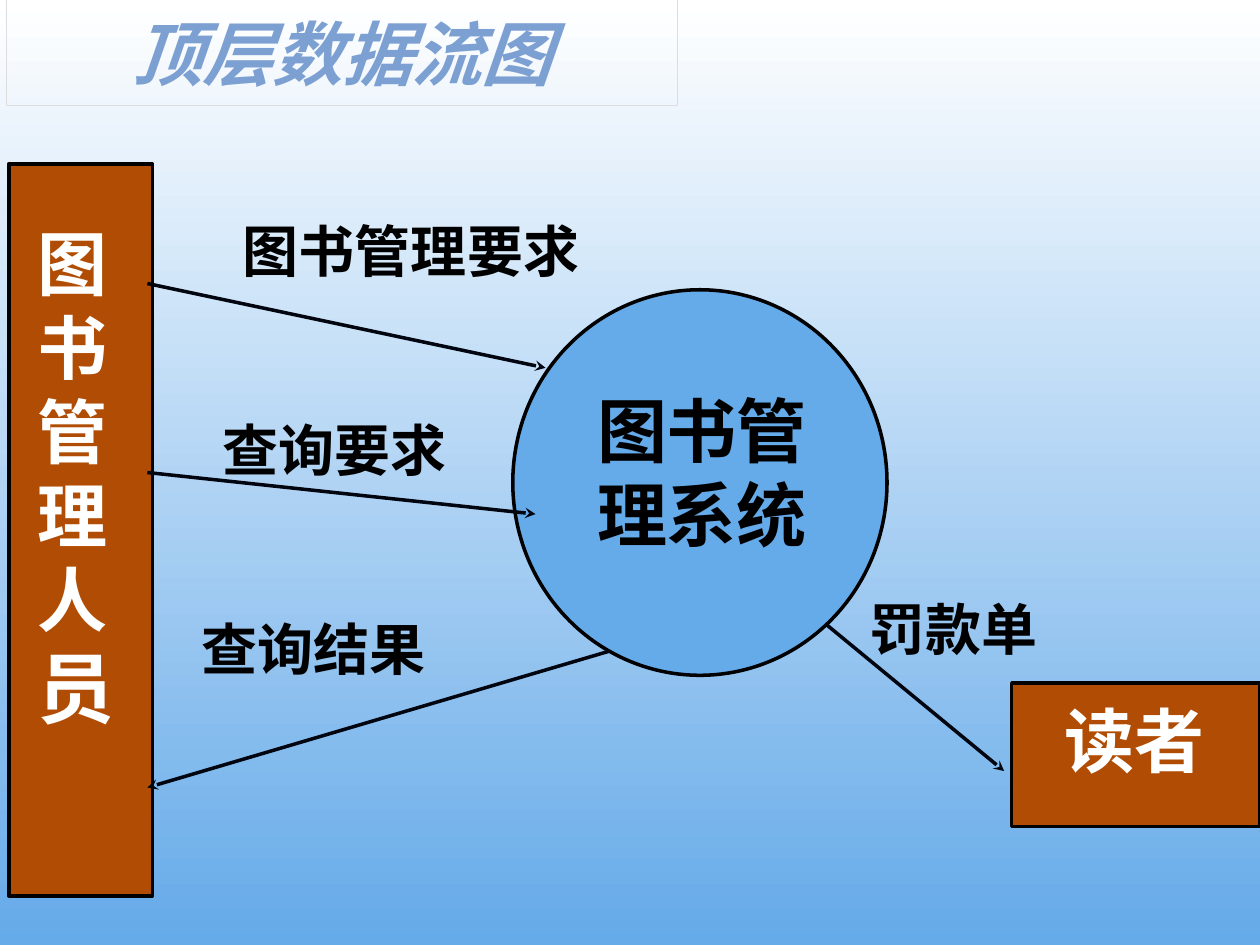
from dataclasses import dataclass

from lxml.etree import SubElement
from pptx import Presentation
from pptx.dml.color import RGBColor
from pptx.enum.shapes import MSO_CONNECTOR as Connector, MSO_SHAPE as Preset
from pptx.enum.text import MSO_ANCHOR as Anchor, PP_ALIGN as Align
from pptx.oxml.ns import qn
from pptx.util import Inches, Pt


@dataclass(frozen=True)
class Theme:
    black: str = "000000"
    white: str = "FFFFFF"
    blue: str = "65AAE9"
    brown: str = "B04C03"
    arrow: str = "01050F"
    title: str = "7DA0D3"
    frame: str = "DDDDDD"
    latin: str = "Arial"
    chinese: str = "Noto Sans CJK SC"
    flow_size: int = 32
    node_size: int = 40
    last_size: int = 44
    line_width: float = 2
    frame_width: float = 0.75


THEME = Theme()


def set_values(target, values):
    for name, value in values.items():
        setattr(target, name, value)


def set_background(slide):
    fill = slide.background.fill
    fill.gradient()
    fill.gradient_angle = 270
    for stop, color, position in zip(fill.gradient_stops, (THEME.white, THEME.blue), (0, 1)):
        stop.color.rgb = RGBColor.from_string(color)
        stop.position = position


def add_run(paragraph, text, size, color, name=THEME.chinese, italic=False):
    run = paragraph.add_run()
    run.text = text
    set_values(run.font, {"name": name, "size": Pt(size), "bold": True, "italic": italic})
    run.font.color.rgb = RGBColor.from_string(color)
    properties = run.font._element
    SubElement(properties, qn("a:ea"), typeface=THEME.chinese)


def add_node(slide, preset, box, fill=None, line=THEME.black, width=THEME.line_width):
    shape = slide.shapes.add_shape(preset, *map(Inches, box))
    shape.shadow.inherit = False
    if fill:
        shape.fill.solid()
        shape.fill.fore_color.rgb = RGBColor.from_string(fill)
    else:
        shape.fill.background()
    shape.line.color.rgb = RGBColor.from_string(line)
    shape.line.width = Pt(width)
    return shape


def add_label(slide, box, lines, size, color):
    frame = slide.shapes.add_textbox(*map(Inches, box)).text_frame
    frame.word_wrap = True
    for index, line in enumerate(lines):
        paragraph = frame.add_paragraph() if index else frame.paragraphs[0]
        add_run(paragraph, line, size, color)
    return frame


def add_arrow(slide, start, end):
    arrow = slide.shapes.add_connector(Connector.STRAIGHT, *map(Inches, start + end))
    arrow.line.color.rgb = RGBColor.from_string(THEME.arrow)
    arrow.line.width = Pt(THEME.line_width)
    SubElement(arrow.line._get_or_add_ln(), qn("a:tailEnd"), type="stealth")
    SubElement(arrow._element.spPr, qn("a:effectLst"))


def add_title(slide, text):
    shape = add_node(slide, Preset.RECTANGLE, (0.05, -0.01, 5.33, 0.85),
                     line=THEME.frame, width=THEME.frame_width)
    frame = shape.text_frame
    set_values(frame, {"word_wrap": True, "vertical_anchor": Anchor.MIDDLE})
    paragraph = frame.paragraphs[0]
    paragraph.alignment = Align.CENTER
    add_run(paragraph, text, THEME.node_size, THEME.title, THEME.latin, True)


def add_nodes(slide):
    add_node(slide, Preset.RECTANGLE, (0.07, 1.3, 1.14, 5.81), THEME.brown)
    staff = add_label(slide, (0.2, 1.7, 0.93, 4.17), ["图书管理人"], THEME.node_size, THEME.white)
    add_run(staff.paragraphs[0], "员", THEME.last_size, THEME.white)
    add_node(slide, Preset.OVAL, (4.07, 2.3, 2.97, 3.06), THEME.blue)
    add_label(slide, (4.64, 3.03, 2.25, 1.43), ["图书管", "理系统"], THEME.node_size, THEME.black)
    add_node(slide, Preset.RECTANGLE, (8.03, 5.42, 1.97, 1.14), THEME.brown)
    add_label(slide, (8.35, 5.49, 1.58, 0.77), ["读者"], THEME.node_size, THEME.white)


def add_flows(slide):
    flows = [
        ("图书管理要求", (1.83, 1.67), 3.58, (1.17, 2.25), (4.33, 2.92)),
        ("查询要求", (1.67, 3.25), 2.25, (1.17, 3.75), (4.25, 4.08)),
        ("查询结果", (1.5, 4.83), 2.33, (4.83, 5.17), (1.17, 6.25)),
        ("罚款单", (6.8, 4.67), 1.75, (6.55, 4.95), (7.97, 6.12)),
    ]
    for text, corner, width, start, end in flows:
        add_arrow(slide, start, end)
        add_label(slide, (*corner, width, 0.63), [text], THEME.flow_size, THEME.black)


def main():
    presentation = Presentation()
    set_values(presentation, {"slide_width": Inches(10), "slide_height": Inches(7.5)})
    slide = presentation.slides.add_slide(presentation.slide_layouts[6])
    set_background(slide)
    add_title(slide, "顶层数据流图")
    add_nodes(slide)
    add_flows(slide)
    presentation.save("out.pptx")


if __name__ == "__main__":
    main()
